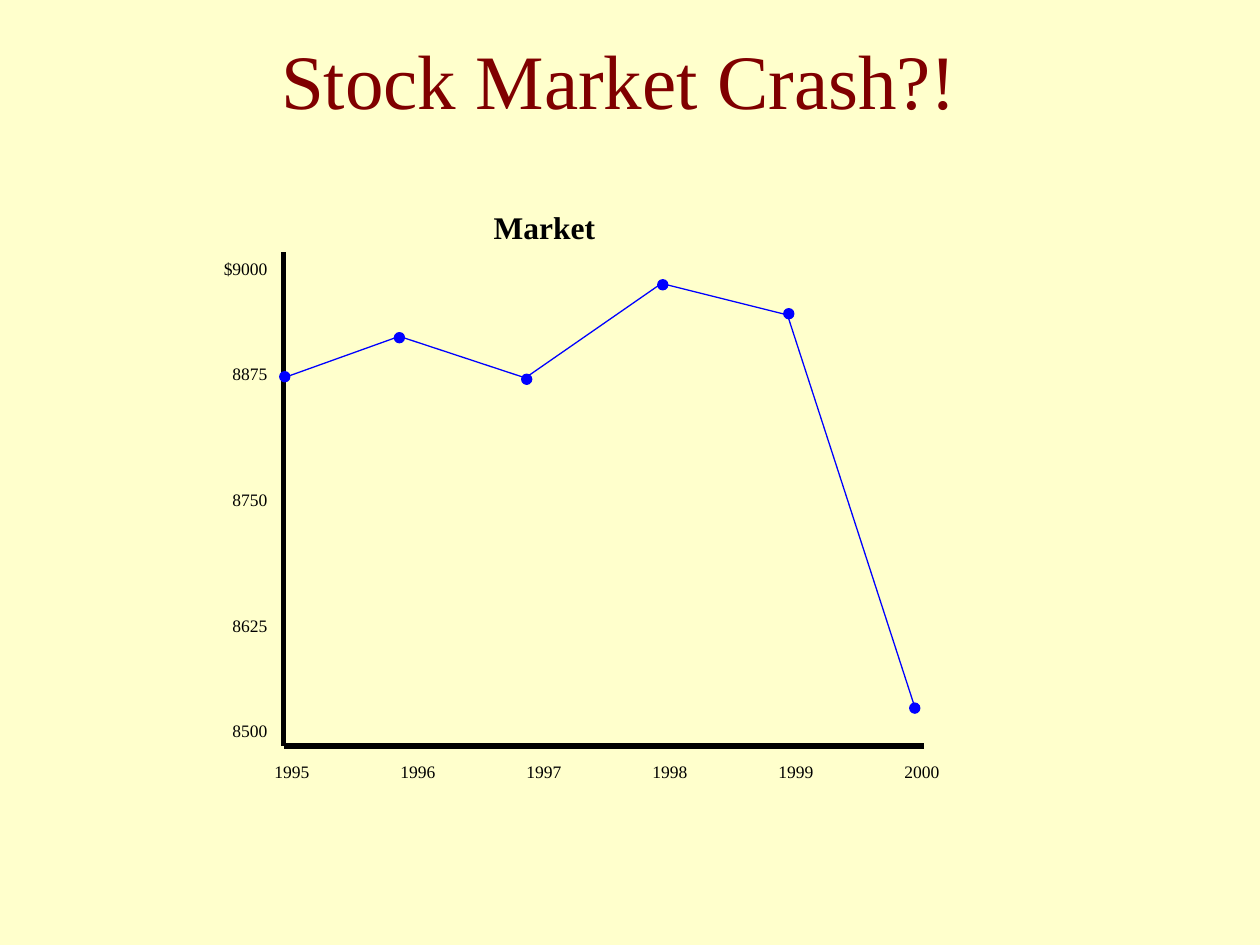
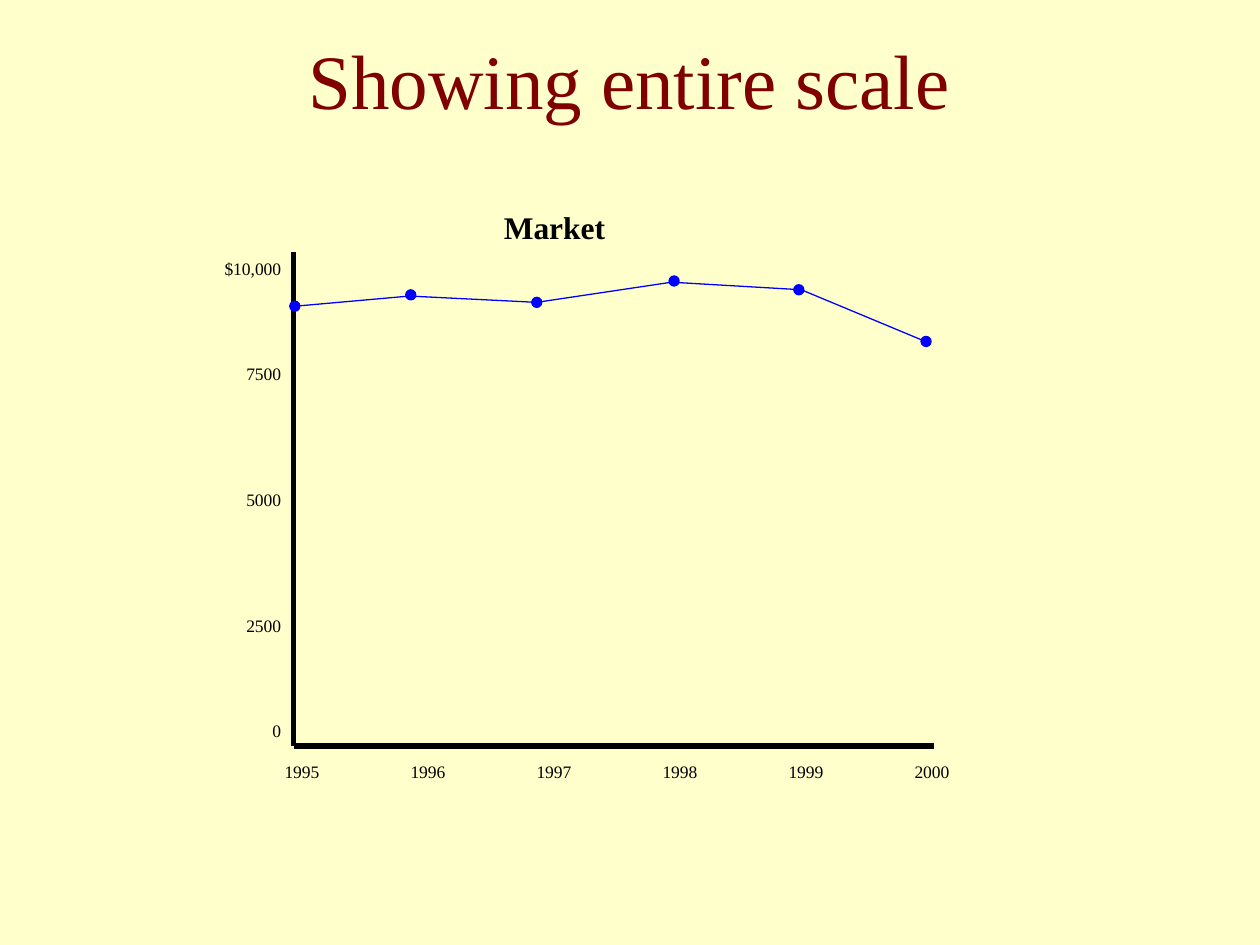
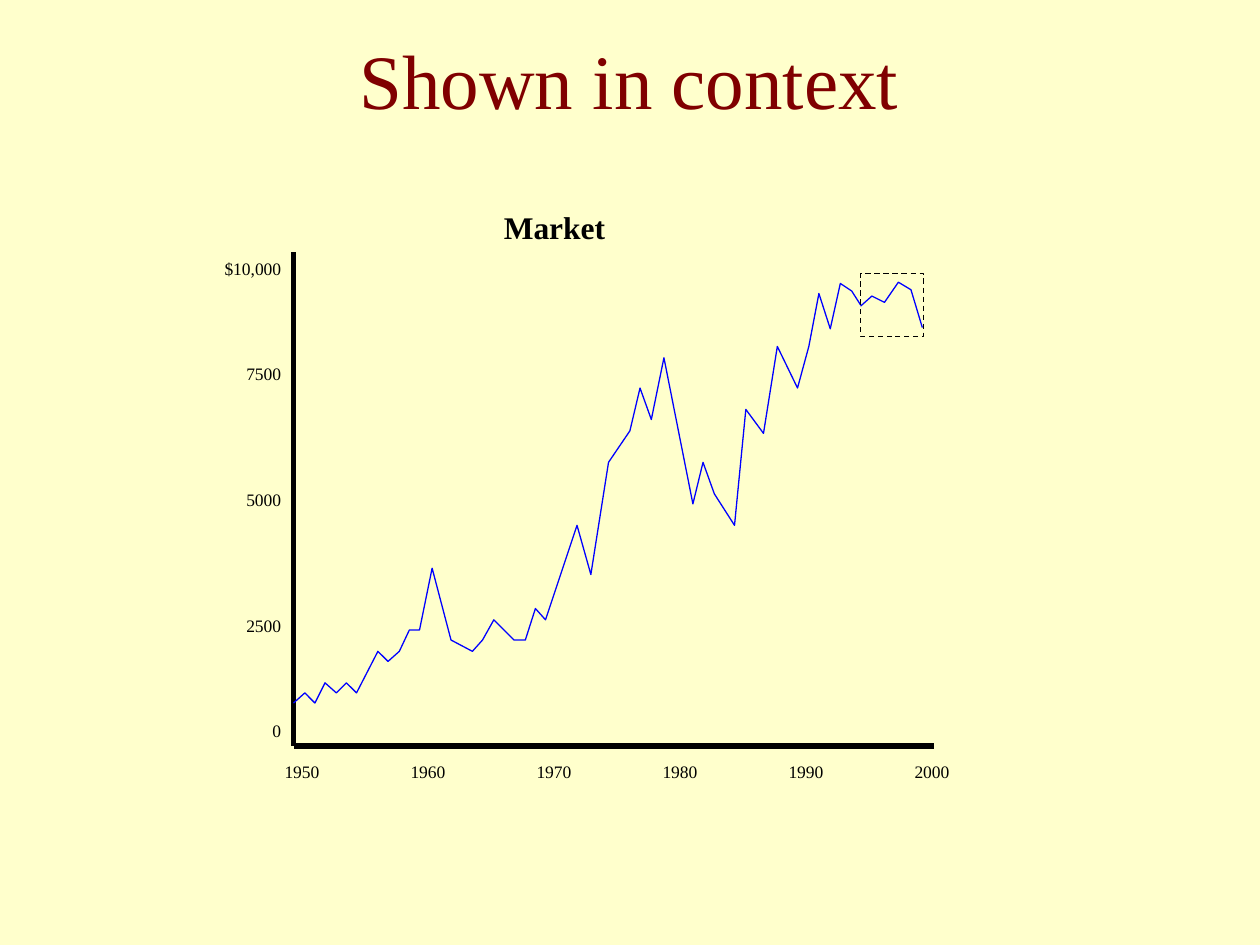
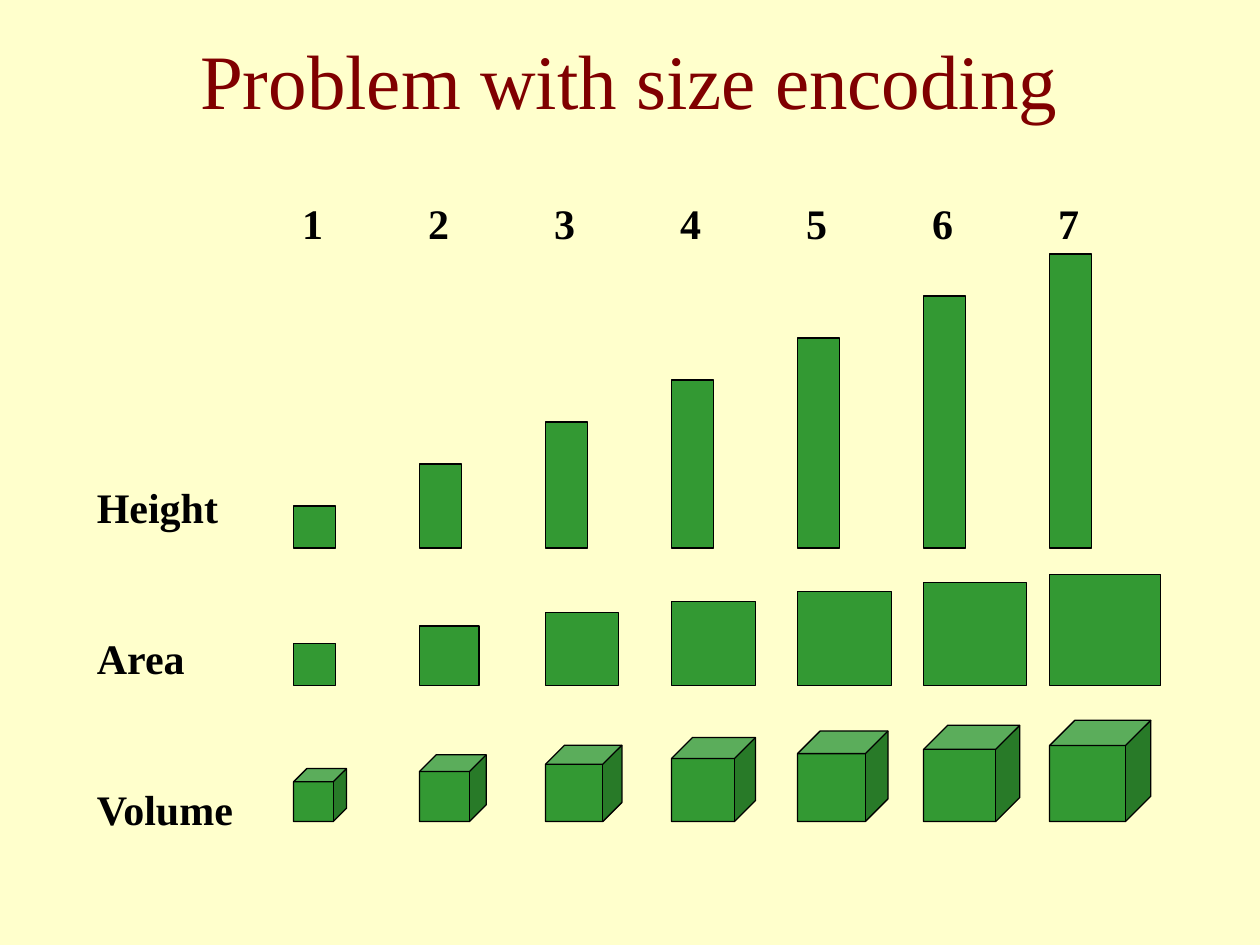
import lxml.etree
import pptx
import pptx.dml.color
import pptx.enum.dml
import pptx.enum.shapes
import pptx.enum.text
import pptx.oxml.ns
import pptx.util

Inches = pptx.util.Inches
Pt = pptx.util.Pt
RGBColor = pptx.dml.color.RGBColor
Shapes = pptx.enum.shapes.MSO_SHAPE
Align = pptx.enum.text.PP_ALIGN
Anchor = pptx.enum.text.MSO_ANCHOR
AutoSize = pptx.enum.text.MSO_AUTO_SIZE
qn = pptx.oxml.ns.qn

CREAM = RGBColor(0xFF, 0xFF, 0xCC)
MAROON = RGBColor(0x80, 0x00, 0x00)
BLACK = RGBColor(0x00, 0x00, 0x00)
BLUE = RGBColor(0x00, 0x00, 0xFF)
GREEN = RGBColor(0x33, 0x99, 0x33)

FONT = "Times New Roman"
LINE_PITCH = 1.2
AXIS_TOP, AXIS_BOTTOM, AXIS_LENGTH = 2, 5.92, 5.08
DOT = 0.08
SCALE_GAPS = (0, 4, 5, 5, 4)
RECENT_YEARS = range(1995, 2001)
DECADES = range(1950, 2001, 10)
FULL_SCALE = ("$10,000", "7500", "5000", "2500", "0")


def add_inch_tabs(paragraph, count):
    tabs = lxml.etree.SubElement(paragraph._p.get_or_add_pPr(), qn("a:tabLst"))
    for inch in range(1, count + 1):
        lxml.etree.SubElement(tabs, qn("a:tab"), pos=str(Inches(inch)), algn="l")


def write(frame, text, size=10, color=BLACK, bold=False, align=Align.LEFT,
          gaps=None, single=False):
    lines = text.split("\n")
    for index, (line, gap) in enumerate(zip(lines, gaps or [0] * len(lines))):
        paragraph = frame.paragraphs[0] if index == 0 else frame.add_paragraph()
        paragraph.alignment = align
        if not single:
            paragraph.line_spacing = Pt(size * LINE_PITCH)
        if gap:
            paragraph.space_before = Pt(gap * size * LINE_PITCH)
        if "\t" in line:
            add_inch_tabs(paragraph, line.count("\t"))
        run = paragraph.add_run()
        run.text = line
        run.font.name = FONT
        run.font.size = Pt(size)
        run.font.bold = bold
        run.font.color.rgb = color


class Deck:
    def __init__(self):
        self.presentation = pptx.Presentation()
        self.presentation.slide_width = Inches(10)
        self.presentation.slide_height = Inches(7.5)
        background = self.presentation.slide_master.background.fill
        background.solid()
        background.fore_color.rgb = CREAM
        self.slide = None

    def start(self, title, left=0.08):
        layout = self.presentation.slide_layouts[6]
        self.slide = self.presentation.slides.add_slide(layout)
        box = self.slide.shapes.add_textbox(Inches(left), 0, Inches(9.83), Inches(1.25))
        box.text_frame.word_wrap = True
        box.text_frame.vertical_anchor = Anchor.MIDDLE
        write(box.text_frame, title, size=44, color=MAROON, align=Align.CENTER, single=True)

    def label(self, text, left, top, width, height, **style):
        box = self.slide.shapes.add_textbox(
            Inches(left), Inches(top), Inches(width), Inches(height))
        box.text_frame.word_wrap = False
        box.text_frame.auto_size = AutoSize.SHAPE_TO_FIT_TEXT
        write(box.text_frame, text, **style)

    def paint(self, shape, fill, line):
        shape.shadow.inherit = False
        if fill is None:
            shape.fill.background()
        else:
            shape.fill.solid()
            shape.fill.fore_color.rgb = fill
        shape.line.color.rgb = line
        shape.line.width = Pt(0.75)

    def figure(self, kind, left, top, width, height, fill=None, line=BLACK):
        shape = self.slide.shapes.add_shape(
            kind, Inches(left), Inches(top), Inches(width), Inches(height))
        self.paint(shape, fill, line)
        return shape

    def axis(self, x1, y1, x2, y2):
        connector = self.slide.shapes.add_connector(
            pptx.enum.shapes.MSO_CONNECTOR.STRAIGHT,
            Inches(x1), Inches(y1), Inches(x2), Inches(y2))
        connector.line.color.rgb = BLACK
        connector.line.width = Pt(3)
        lxml.etree.SubElement(connector._element.spPr, qn("a:effectLst"))

    def curve(self, points):
        start, *rest = [(Inches(x), Inches(y)) for x, y in points]
        builder = self.slide.shapes.build_freeform(*start)
        builder.add_line_segments(rest, close=False)
        self.paint(builder.convert_to_shape(), None, BLUE)

    def dots(self, centers):
        for x, y in centers:
            self.figure(Shapes.OVAL, x - DOT / 2, y - DOT / 2, DOT, DOT, BLUE, BLUE)

    def market_axes(self, origin, years, scale, scale_right, scale_width):
        self.axis(origin, AXIS_TOP, origin, AXIS_BOTTOM)
        self.axis(origin, AXIS_BOTTOM, origin + AXIS_LENGTH, AXIS_BOTTOM)
        self.label("\t".join(map(str, years)), origin - 0.17, 5.99, 5.48, 0.27)
        self.label("\n".join(scale), scale_right - scale_width, AXIS_TOP, scale_width, 3.93,
                   align=Align.RIGHT, gaps=SCALE_GAPS)
        self.label("Market", origin + 1.57, 1.6, 1.01, 0.4, size=18, bold=True)


def crash_slide(deck):
    deck.start("Stock Market Crash?!", left=0)
    deck.market_axes(2.25, RECENT_YEARS, ("$9000", "8875", "8750", "8625", "8500"), 2.22, 0.55)
    deck.curve([(2.25, 3), (3.17, 2.67), (4.17, 3), (5.25, 2.25), (6.25, 2.5), (7.25, 5.58)])
    deck.dots([(2.26, 2.99), (3.17, 2.68), (4.18, 3.01), (5.26, 2.26), (6.26, 2.49),
               (7.26, 5.62)])


def entire_scale_slide(deck):
    deck.start("Showing entire scale")
    deck.market_axes(2.33, RECENT_YEARS, FULL_SCALE, 2.33, 0.65)
    deck.curve([(2.35, 2.43), (3.25, 2.35), (4.26, 2.4), (5.33, 2.24), (6.36, 2.3),
                (7.32, 2.7)])
    deck.dots([(2.34, 2.43), (3.26, 2.34), (4.26, 2.4), (5.35, 2.23), (6.34, 2.3),
               (7.35, 2.71)])


def context_slide(deck):
    deck.start("Shown in context")
    deck.market_axes(2.33, DECADES, FULL_SCALE, 2.33, 0.65)
    deck.curve([(6.83, 2.43), (6.92, 2.35), (7.02, 2.4), (7.13, 2.24), (7.23, 2.3),
                (7.32, 2.6)])
    deck.curve([
        (2.33, 5.58), (2.42, 5.5), (2.5, 5.58), (2.58, 5.42), (2.67, 5.5), (2.75, 5.42),
        (2.83, 5.5), (3, 5.17), (3.08, 5.25), (3.17, 5.17), (3.25, 5), (3.33, 5),
        (3.43, 4.51), (3.58, 5.08), (3.75, 5.17), (3.83, 5.08), (3.92, 4.92), (4.08, 5.08),
        (4.17, 5.08), (4.25, 4.83), (4.33, 4.92), (4.58, 4.17), (4.69, 4.56), (4.83, 3.67),
        (5, 3.42), (5.08, 3.08), (5.17, 3.33), (5.27, 2.84), (5.5, 4), (5.58, 3.67),
        (5.67, 3.92), (5.83, 4.17), (5.92, 3.25), (6.06, 3.44), (6.17, 2.75), (6.33, 3.08),
        (6.42, 2.75), (6.5, 2.33), (6.59, 2.61), (6.67, 2.25), (6.76, 2.31), (6.83, 2.42)])
    recent = deck.figure(Shapes.RECTANGLE, 6.83, 2.17, 0.5, 0.5)
    recent.line.dash_style = pptx.enum.dml.MSO_LINE.DASH


def size_encoding_slide(deck):
    deck.start("Problem with size encoding")
    values = range(1, 8)
    deck.label("\t".join(map(str, values)), 2.3, 1.52, 6.37, 0.5, size=24, bold=True)
    deck.label("Height\nArea\nVolume", 0.67, 3.77, 1.31, 2.9, size=24, bold=True,
               gaps=(0, 2, 2))
    unit, cube_unit = 1 / 3, 0.42
    for value in values:
        left = 1.33 + value
        bar = unit * value
        square = unit * value ** (1 / 2)
        cube = cube_unit * value ** (1 / 3)
        deck.figure(Shapes.RECTANGLE, left, 4.35 - bar, unit, bar, GREEN)
        deck.figure(Shapes.RECTANGLE, left, 5.44 - square, square, square, GREEN)
        deck.figure(Shapes.CUBE, left, 6.52 - cube, cube, cube, GREEN)


def main():
    deck = Deck()
    crash_slide(deck)
    entire_scale_slide(deck)
    context_slide(deck)
    size_encoding_slide(deck)
    deck.presentation.save("out.pptx")


if __name__ == "__main__":
    main()
